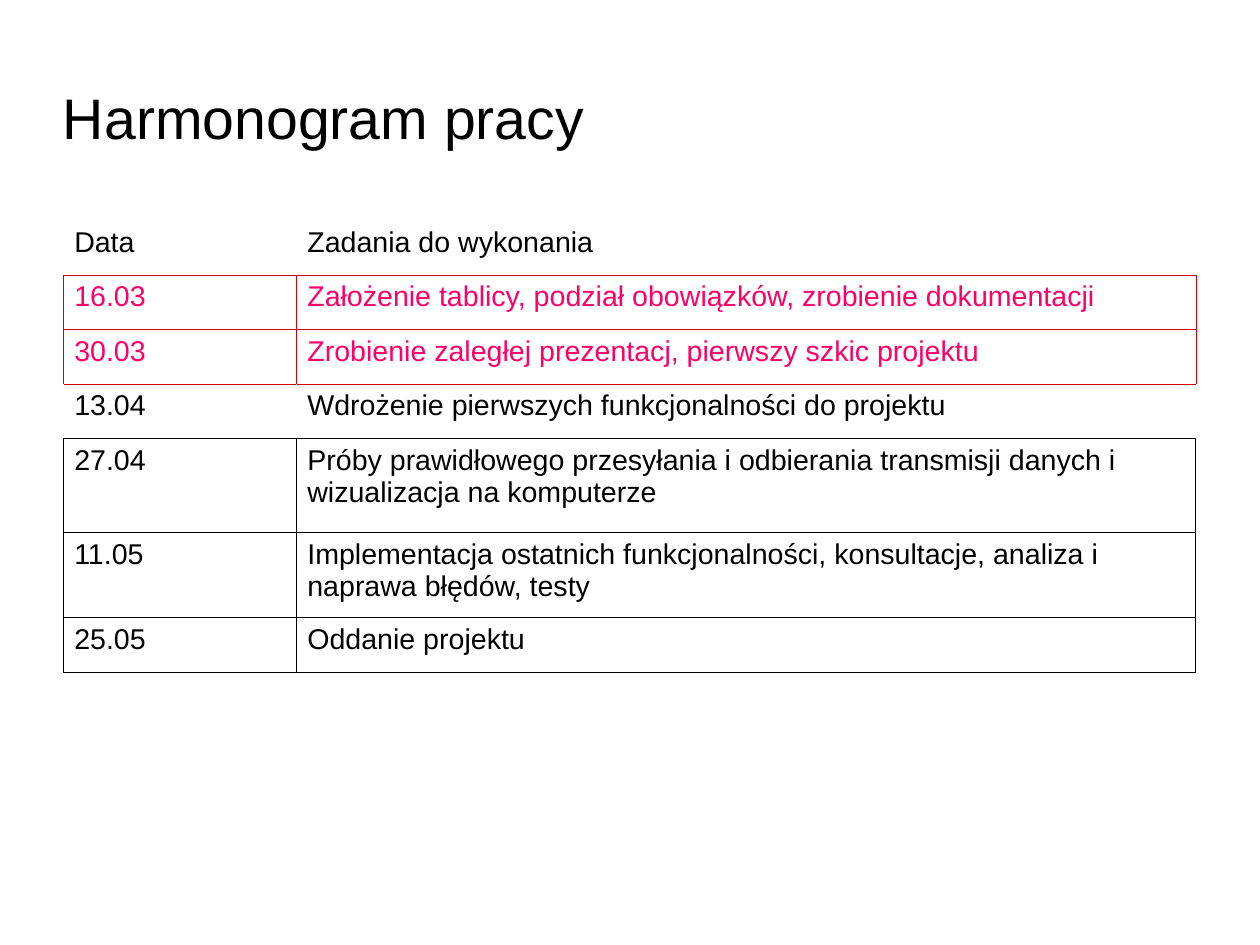
import pptx
import pptx.dml.color
import pptx.enum.text
import pptx.oxml.ns
import pptx.util
from lxml import etree
from pptx.util import Cm

COLORS = {"black": "000000", "white": "FFFFFF", "red": "CC0000", "pink": "FF0066"}
FONT_NAME = "Arial"
HAIRLINE, THIN = 0.06, 0.57  # border widths in points

# Row looks: text colour, border width, colours of left, right, top and bottom borders
LOOKS = {
    "header": ("black", HAIRLINE, ("white", "white", "white", "red")),
    "done": ("pink", HAIRLINE, ("red",) * 4),
    "current": ("black", HAIRLINE, ("white", "white", "red", "white")),
    "planned": ("black", THIN, ("black",) * 4),
}

# Look, height in cm, date, task
SCHEDULE = [
    ("header", 1.21, "Data", "Zadania do wykonania"),
    ("done", 1.21, "16.03", "Założenie tablicy, podział obowiązków, zrobienie dokumentacji"),
    ("done", 1.21, "30.03", "Zrobienie zaległej prezentacj, pierwszy szkic projektu"),
    ("current", 1.21, "13.04", "Wdrożenie pierwszych funkcjonalności do projektu"),
    ("planned", 2.1, "27.04", "Próby prawidłowego przesyłania i odbierania transmisji "
                              "danych i wizualizacja na komputerze"),
    ("planned", 1.89, "11.05", "Implementacja ostatnich funkcjonalności, konsultacje, "
                               "analiza i naprawa błędów, testy"),
    ("planned", 1.21, "25.05", "Oddanie projektu"),
]
COLUMN_WIDTHS = (5.18, 19.99)


def apply_format(target, values):
    for attribute, value in values.items():
        setattr(target, attribute, value)


def write_text(text_frame, text, size, color):
    text_frame.text = text
    paragraph = text_frame.paragraphs[0]
    paragraph.alignment = pptx.enum.text.PP_ALIGN.LEFT
    font = paragraph.runs[0].font
    apply_format(font, {"name": FONT_NAME, "size": pptx.util.Pt(size), "bold": False})
    font.color.rgb = pptx.dml.color.RGBColor.from_string(COLORS[color])


def set_borders(cell, width, side_colors):
    properties = cell._tc.get_or_add_tcPr()
    for side, color in zip("LRTB", side_colors):
        line = etree.SubElement(properties, pptx.oxml.ns.qn(f"a:ln{side}"),
                                w=str(int(pptx.util.Pt(width))))
        fill = etree.SubElement(line, pptx.oxml.ns.qn("a:solidFill"))
        etree.SubElement(fill, pptx.oxml.ns.qn("a:srgbClr"), val=COLORS[color])


def add_title(slide, text):
    title = slide.shapes.title
    apply_format(title, {"left": Cm(1.4), "top": Cm(1.6),
                         "width": Cm(20), "height": Cm(2)})
    apply_format(title.text_frame, {
        "margin_left": 0, "margin_right": 0, "margin_top": 0, "margin_bottom": 0,
        "word_wrap": True,
        "vertical_anchor": pptx.enum.text.MSO_ANCHOR.MIDDLE,
        "auto_size": pptx.enum.text.MSO_AUTO_SIZE.SHAPE_TO_FIT_TEXT,
    })
    write_text(title.text_frame, text, 36, "black")


def add_schedule(slide):
    total_height = sum(height for _, height, *_ in SCHEDULE)
    schedule = slide.shapes.add_table(
        len(SCHEDULE), len(COLUMN_WIDTHS), Cm(1.4), Cm(4.9),
        Cm(sum(COLUMN_WIDTHS)), Cm(total_height)).table
    apply_format(schedule, {"first_row": False, "horz_banding": False})
    for column, width in zip(schedule.columns, COLUMN_WIDTHS):
        column.width = Cm(width)

    for row, (look, height, *texts) in zip(schedule.rows, SCHEDULE):
        row.height = Cm(height)
        text_color, border_width, side_colors = LOOKS[look]
        for cell, text in zip(row.cells, texts):
            write_text(cell.text_frame, text, 18, text_color)
            apply_format(cell, {"margin_left": Cm(0.25), "margin_right": Cm(0.25),
                                "margin_top": Cm(0.13), "margin_bottom": Cm(0.13)})
            set_borders(cell, border_width, side_colors)
            cell.fill.background()


def main():
    presentation = pptx.Presentation()
    apply_format(presentation, {"slide_width": Cm(28), "slide_height": Cm(21)})
    title_only = presentation.slide_layouts[5]
    slide = presentation.slides.add_slide(title_only)
    add_title(slide, "Harmonogram pracy")
    add_schedule(slide)
    presentation.save("out.pptx")


if __name__ == "__main__":
    main()
